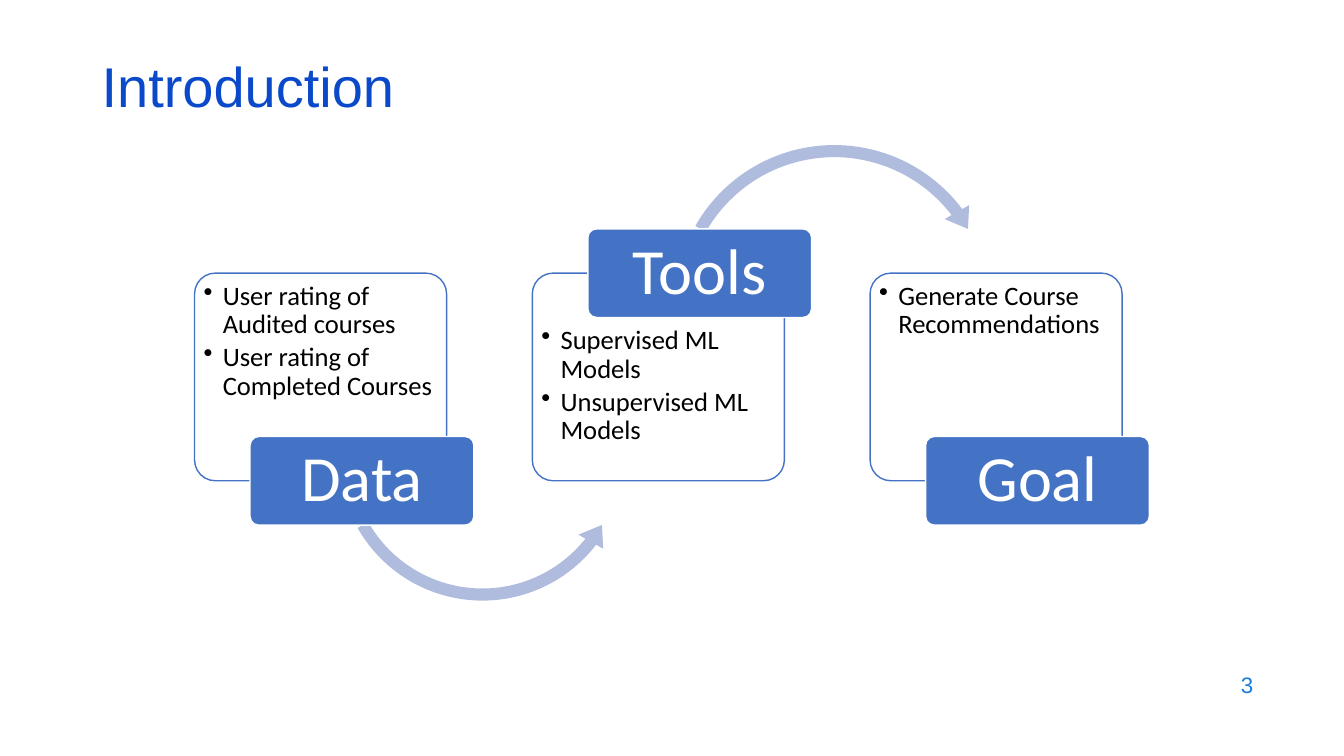
import pptx
import pptx.util
import pptx.dml.color
import pptx.enum.shapes
import pptx.enum.text
from lxml import etree

Inches, Pt = pptx.util.Inches, pptx.util.Pt
RGB = pptx.dml.color.RGBColor
SHAPE = pptx.enum.shapes.MSO_SHAPE
ALIGN = pptx.enum.text.PP_ALIGN
ANCHOR = pptx.enum.text.MSO_ANCHOR

WHITE = RGB(0xFF, 0xFF, 0xFF)
BLACK = RGB(0x00, 0x00, 0x00)
BLUE = RGB(0x44, 0x72, 0xC4)
PALE = RGB(0xB0, 0xBC, 0xDE)
TITLE = RGB(0x0B, 0x49, 0xCB)
NUMBER = RGB(0x1C, 0x7D, 0xDB)

deck = pptx.Presentation()
deck.slide_width, deck.slide_height = Inches(13.33), Inches(7.5)
slide = deck.slides.add_slide(deck.slide_layouts[6])


def add_shape(kind, left, top, width, height, fill, line=None, adjust=()):
    shape = slide.shapes.add_shape(
        kind, Inches(left), Inches(top), Inches(width), Inches(height))
    shape.shadow.inherit = False
    shape.fill.solid()
    shape.fill.fore_color.rgb = fill
    if line is None:
        shape.line.fill.background()
    else:
        shape.line.color.rgb = line
        shape.line.width = Pt(1)
    for i, value in enumerate(adjust):
        shape.adjustments[i] = value
    return shape


def write(para, text, size, font, color, align=ALIGN.LEFT):
    para.alignment = align
    para.line_spacing = 0.9
    run = para.add_run()
    run.text = text
    run.font.size = Pt(size)
    run.font.name = font
    run.font.color.rgb = color


# Title and slide number
for text, place, size, color, align in (
    ("Introduction", (0.91, 0.59, 11.52, 0.6), 40, TITLE, ALIGN.LEFT),
    ("3", (9.53, 6.59, 3, 0.44), 16, NUMBER, ALIGN.RIGHT),
):
    frame = slide.shapes.add_textbox(*map(Inches, place)).text_frame
    frame.word_wrap = True
    frame.vertical_anchor = ANCHOR.MIDDLE
    write(frame.paragraphs[0], text, size, "Arial", color, align)

# Each step: label, label top, space above the bullets, bullets, arrow to next
steps = (
    ("Data", 4.33, 0.03,
     ("User rating of Audited courses", "User rating of Completed Courses"),
     (SHAPE.LEFT_CIRCULAR_ARROW, 3.28, 3.03, 3.01,
      (0.04, 5.035, 22.79, 90.245, 0.047))),
    ("Tools", 2.27, 0.47,
     ("Supervised ML Models", "Unsupervised ML Models"),
     (SHAPE.CIRCULAR_ARROW, 6.61, 1.36, 3.33,
      (0.036, 4.511, 193.734, 125.755, 0.042))),
    ("Goal", 4.33, 0.03, ("Generate Course Recommendations",), None),
)
for i, (name, top, space, items, arrow) in enumerate(steps):
    left = 1.93 + 3.35 * i
    box = add_shape(SHAPE.ROUNDED_RECTANGLE, left, 2.71, 2.5, 2.06,
                    WHITE, BLUE, (0.1,))
    frame = box.text_frame
    frame.word_wrap = True
    frame.vertical_anchor = ANCHOR.TOP
    frame.margin_left = frame.margin_right = frame.margin_bottom = Inches(0.03)
    frame.margin_top = Inches(space)
    for j, item in enumerate(items):
        para = frame.add_paragraph() if j else frame.paragraphs[0]
        write(para, item, 19, "Calibri", BLACK)
        para.space_after = Pt(3)
        props = para._p.get_or_add_pPr()
        props.set("marL", str(Inches(0.19)))
        props.set("indent", str(Inches(-0.19)))
        bullet = etree.SubElement(props, pptx.oxml.ns.qn("a:buChar"))
        bullet.set("char", "•")

    if arrow:
        kind, x, y, size, adjust = arrow
        add_shape(kind, x, y, size, size, PALE, adjust=adjust)

    label = add_shape(SHAPE.ROUNDED_RECTANGLE, left + 0.55, top, 2.22, 0.88,
                      BLUE, WHITE, (0.1,))
    frame = label.text_frame
    frame.word_wrap = True
    frame.vertical_anchor = ANCHOR.MIDDLE
    frame.margin_top = frame.margin_bottom = Inches(0.06)
    write(frame.paragraphs[0], name, 46, "Calibri", WHITE, ALIGN.CENTER)

deck.save("out.pptx")
